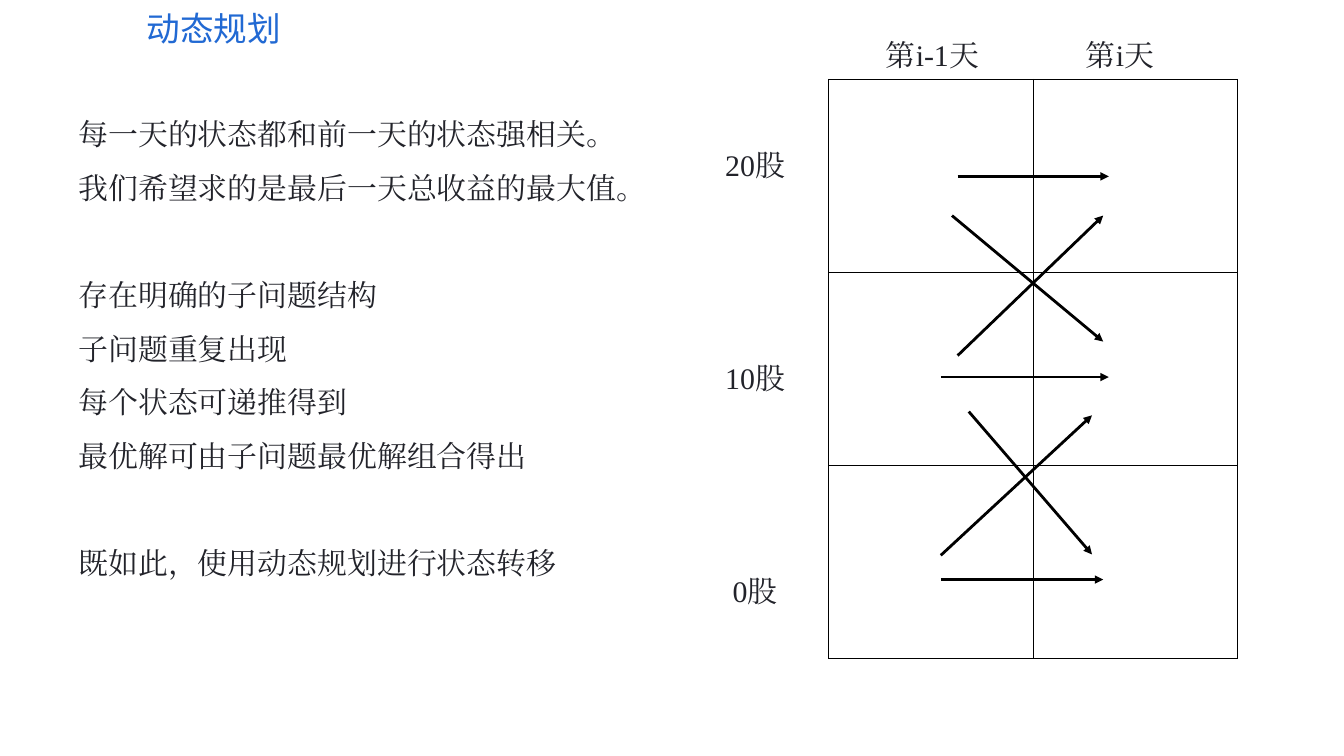
from lxml import etree
from pptx import Presentation
from pptx.dml.color import RGBColor
from pptx.enum import shapes, text
from pptx.oxml import ns
from pptx.util import Pt

BLUE = RGBColor(0x21, 0x69, 0xD3)
INK = RGBColor(0x22, 0x23, 0x2A)
BLACK = RGBColor(0, 0, 0)
TITLE_FONT = "Noto Sans CJK SC"
BODY_FONT = "Times New Roman"
LINE_PITCH = 57.5

# Each group is set off from the one before by one empty line's height
REASONS = [
    ["每一天的状态都和前一天的状态强相关。",
     "我们希望求的是最后一天总收益的最大值。"],
    ["存在明确的子问题结构", "子问题重复出现",
     "每个状态可递推得到", "最优解可由子问题最优解组合得出"],
    ["既如此，使用动态规划进行状态转移"],
]
DAYS = ["第i-1天", "第i天"]
HOLDINGS = ["20股", "10股", "0股"]

# Start and end of each transition, measured from the grid's corner
TRANSITIONS = [
    (138, 104, 300, 104),
    (138, 296, 294, 146),
    (120, 319, 300, 319),
    (150, 356, 282, 509),
    (120, 536, 294, 536),
    (132, 146, 294, 281),
    (120, 510, 282, 360),
]


def add_run(paragraph, words, size, font, colour):
    run = paragraph.add_run()
    run.text = words
    run.font.size = Pt(size)
    run.font.name = font
    run.font.color.rgb = colour
    east_asian = etree.SubElement(run.font._element, ns.qn("a:ea"))
    east_asian.set("typeface", font)


def add_lines(slide, box, groups, align):
    frame = slide.shapes.add_textbox(*map(Pt, box)).text_frame
    frame.word_wrap = True
    frame.margin_left = frame.margin_right = 0
    frame.margin_top = frame.margin_bottom = 0
    paragraph = None
    for group in groups:
        for place, words in enumerate(group):
            first = paragraph is None
            paragraph = frame.paragraphs[0] if first else frame.add_paragraph()
            paragraph.alignment = align
            paragraph.line_spacing = Pt(LINE_PITCH)
            if place == 0 and not first:
                paragraph.space_before = Pt(LINE_PITCH)
            add_run(paragraph, words, 32, BODY_FONT, INK)


def add_title(slide, box):
    title = slide.shapes.title
    title.left, title.top, title.width, title.height = map(Pt, box)
    frame = title.text_frame
    frame.auto_size = text.MSO_AUTO_SIZE.NONE
    frame.vertical_anchor = text.MSO_ANCHOR.MIDDLE
    frame.margin_top = frame.margin_bottom = 0
    heading = frame.paragraphs[0]
    heading.alignment = text.PP_ALIGN.LEFT
    add_run(heading, "动态规划", 36, TITLE_FONT, BLUE)


def outline_cell(cell):
    properties = cell._tc.get_or_add_tcPr()
    for side in ("lnL", "lnR", "lnT", "lnB"):
        border = etree.SubElement(properties, ns.qn("a:" + side), w=str(Pt(1)))
        fill = etree.SubElement(border, ns.qn("a:solidFill"))
        etree.SubElement(fill, ns.qn("a:srgbClr"), val=str(BLACK))
    cell.fill.background()


def add_arrow(slide, start_x, start_y, end_x, end_y):
    arrow = slide.shapes.add_connector(
        shapes.MSO_CONNECTOR.STRAIGHT,
        Pt(start_x), Pt(start_y), Pt(end_x), Pt(end_y))
    arrow.line.color.rgb = BLACK
    arrow.line.width = Pt(3)
    etree.SubElement(arrow.line._get_or_add_ln(), ns.qn("a:tailEnd"),
                     type="triangle")
    etree.SubElement(arrow._element.spPr, ns.qn("a:effectLst"))


def add_state_grid(slide, box):
    left, top, width, height = box

    # Empty state cells
    grid = slide.shapes.add_table(
        len(HOLDINGS), len(DAYS), *map(Pt, box)).table
    grid.first_row = grid.horz_banding = False
    for column in grid.columns:
        column.width = Pt(width / len(DAYS))
    for row in grid.rows:
        row.height = Pt(height / len(HOLDINGS))
    for cell in grid.iter_cells():
        outline_cell(cell)

    # Day and holding labels
    for i, day in enumerate(DAYS):
        add_lines(slide, (left + 18 + 201 * i, top - 65, 186, 51),
                  [[day]], text.PP_ALIGN.CENTER)
    for i, holding in enumerate(HOLDINGS):
        add_lines(slide, (left - 172, top + 53 + 228 * i, 186, 51),
                  [[holding]], text.PP_ALIGN.CENTER)

    # Transitions between the two days
    for start_x, start_y, end_x, end_y in TRANSITIONS:
        add_arrow(slide, left + start_x, top + start_y,
                  left + end_x, top + end_y)


def main():
    deck = Presentation()
    deck.slide_width, deck.slide_height = Pt(1440), Pt(810)
    slide = deck.slides.add_slide(deck.slide_layouts[5])
    add_title(slide, (150, 5, 480, 51))
    add_lines(slide, (84, 105, 730, 516), REASONS, text.PP_ALIGN.JUSTIFY)
    add_state_grid(slide, (888, 85, 438, 620))
    deck.save("out.pptx")


if __name__ == "__main__":
    main()
